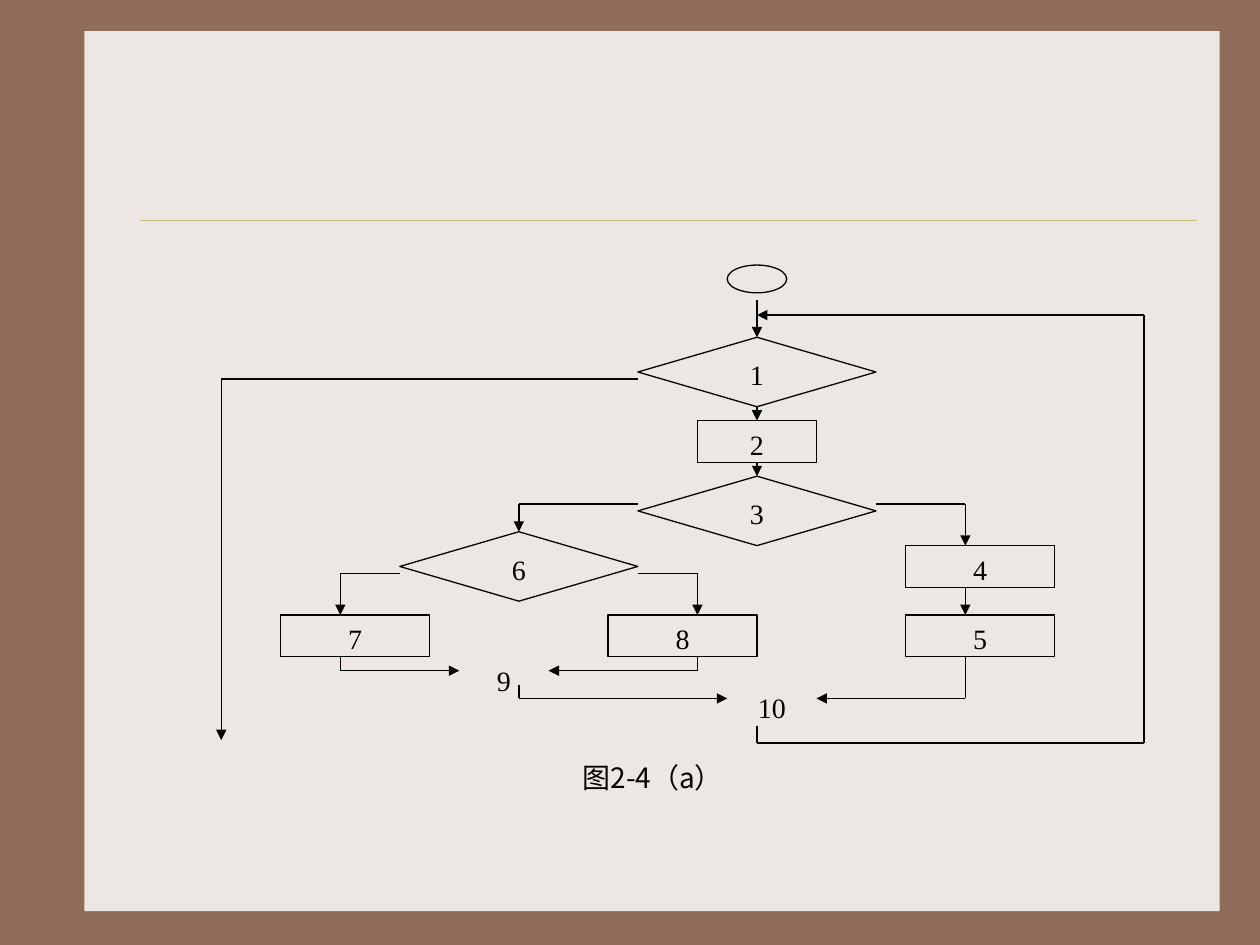
from dataclasses import dataclass
from itertools import pairwise

from lxml.etree import SubElement
from pptx import Presentation
from pptx.dml.color import RGBColor
from pptx.enum.shapes import MSO_CONNECTOR as Connector, MSO_SHAPE as Shape
from pptx.enum.text import MSO_ANCHOR as Anchor, PP_ALIGN as Align
from pptx.oxml.ns import qn
from pptx.util import Cm, Pt


@dataclass(frozen=True)
class Theme:
    frame: RGBColor = RGBColor.from_string("906D58")
    paper: RGBColor = RGBColor.from_string("EDE7E3")
    rule: RGBColor = RGBColor.from_string("CBBD83")
    ink: RGBColor = RGBColor.from_string("000000")
    label_font: str = "Times New Roman"
    caption_font: str = "Noto Sans CJK SC"
    text_size: Pt = Pt(16)
    flow_width: Pt = Pt(0.75)
    rule_width: Pt = Pt(0.25)


THEME = Theme()
FRAME_FORMAT = {
    "word_wrap": True,
    "vertical_anchor": Anchor.TOP,
    "margin_left": Cm(0.25),
    "margin_right": Cm(0.25),
    "margin_top": Cm(0.13),
    "margin_bottom": Cm(0.13),
}

DECISIONS = [("1", 0, -5), ("3", 0, 5), ("6", -8, 9)]
PROCESSES = [
    ("2", -2, 1, 4),
    ("4", 5, 10, 5),
    ("5", 5, 15, 5),
    ("7", -16, 15, 5),
    ("8", -5, 15, 5),
]
JOINS = [("9", -10, 18), ("10", -1, 20)]
ARROWS = [
    [(0, -7.7), (0, -5)],
    [(0, 0), (0, 1)],
    [(0, 4), (0, 5)],
    [(-4, 7), (-8, 7), (-8, 9)],
    [(4, 7), (7, 7), (7, 10)],
    [(7, 13), (7, 15)],
    [(7, 18), (7, 21), (2, 21)],
    [(-12, 12), (-14, 12), (-14, 15)],
    [(-4, 12), (-2, 12), (-2, 15)],
    [(-14, 18), (-14, 19), (-10, 19)],
    [(-2, 18), (-2, 19), (-7, 19)],
    [(-8, 20), (-8, 21), (-1, 21)],
    [(-4, -2), (-18, -2), (-18, 24)],
    [(0, 23), (0, 24.2), (13, 24.2), (13, -6.6), (0, -6.6)],
]


def grid_point(column, row):
    return Cm(15.26 + 0.6 * column), Cm(8.2 + 0.28 * row)


def grid_box(column, row, columns, rows):
    return *grid_point(column, row), Cm(0.6 * columns), Cm(0.28 * rows)


def apply_format(target, values):
    for name, value in values.items():
        setattr(target, name, value)


def write_text(box, text, font=THEME.label_font):
    apply_format(box.text_frame, FRAME_FORMAT)
    para = box.text_frame.paragraphs[0]
    para.alignment = Align.CENTER
    span = para.add_run()
    span.text = text
    apply_format(span.font, {"name": font, "size": THEME.text_size})
    span.font.color.rgb = THEME.ink
    SubElement(span.font._element, qn("a:ea"), typeface=font)


def add_text(page, text, bounds, font=THEME.label_font):
    write_text(page.shapes.add_textbox(*bounds), text, font)


def add_outline(page, kind, bounds):
    shape = page.shapes.add_shape(kind, *bounds)
    shape.shadow.inherit = False
    shape.fill.background()
    shape.line.color.rgb = THEME.ink
    shape.line.width = THEME.flow_width
    return shape


def add_line(page, start, end, color=THEME.ink, width=THEME.flow_width, arrow=False):
    line = page.shapes.add_connector(Connector.STRAIGHT, *start, *end)
    line.line.color.rgb = color
    line.line.width = width
    if arrow:
        SubElement(line.line._get_or_add_ln(), qn("a:tailEnd"), type="triangle")
    SubElement(line._element.spPr, qn("a:effectLst"))


def add_arrow(page, points):
    segments = list(pairwise(grid_point(*point) for point in points))
    for number, (start, end) in enumerate(segments, 1):
        add_line(page, start, end, arrow=number == len(segments))


def add_backdrop(page):
    page.background.fill.solid()
    page.background.fill.fore_color.rgb = THEME.frame
    paper = page.shapes.add_shape(Shape.RECTANGLE, Cm(1.7), Cm(0.63), Cm(22.89), Cm(17.75 - 0.01))
    paper.shadow.inherit = False
    paper.fill.solid()
    paper.fill.fore_color.rgb = THEME.paper
    paper.line.fill.background()
    add_line(page, (Cm(2.82), Cm(4.44)), (Cm(24.13), Cm(4.44)), THEME.rule, THEME.rule_width)


def add_flowchart(page):
    add_outline(page, Shape.OVAL, grid_box(-1, -10.2, 2, 2))
    for text, center, row in DECISIONS:
        add_outline(page, Shape.FLOWCHART_DECISION, grid_box(center - 4, row, 8, 5))
        add_text(page, text, grid_box(center - 1, row + 1, 2, 3))
    for text, column, row, columns in PROCESSES:
        write_text(add_outline(page, Shape.RECTANGLE, grid_box(column, row, columns, 3)), text)
    for text, column, row in JOINS:
        add_text(page, text, grid_box(column, row, 3, 3))
    for points in ARROWS:
        add_arrow(page, points)


def main():
    deck = Presentation()
    deck.slide_width, deck.slide_height = Cm(25.4), Cm(19.05)
    page = deck.slides.add_slide(deck.slide_layouts[6])
    add_backdrop(page)
    add_flowchart(page)
    add_text(page, "图2-4（a）", grid_box(-8, 25, 9, 3), THEME.caption_font)
    deck.save("out.pptx")


if __name__ == "__main__":
    main()
